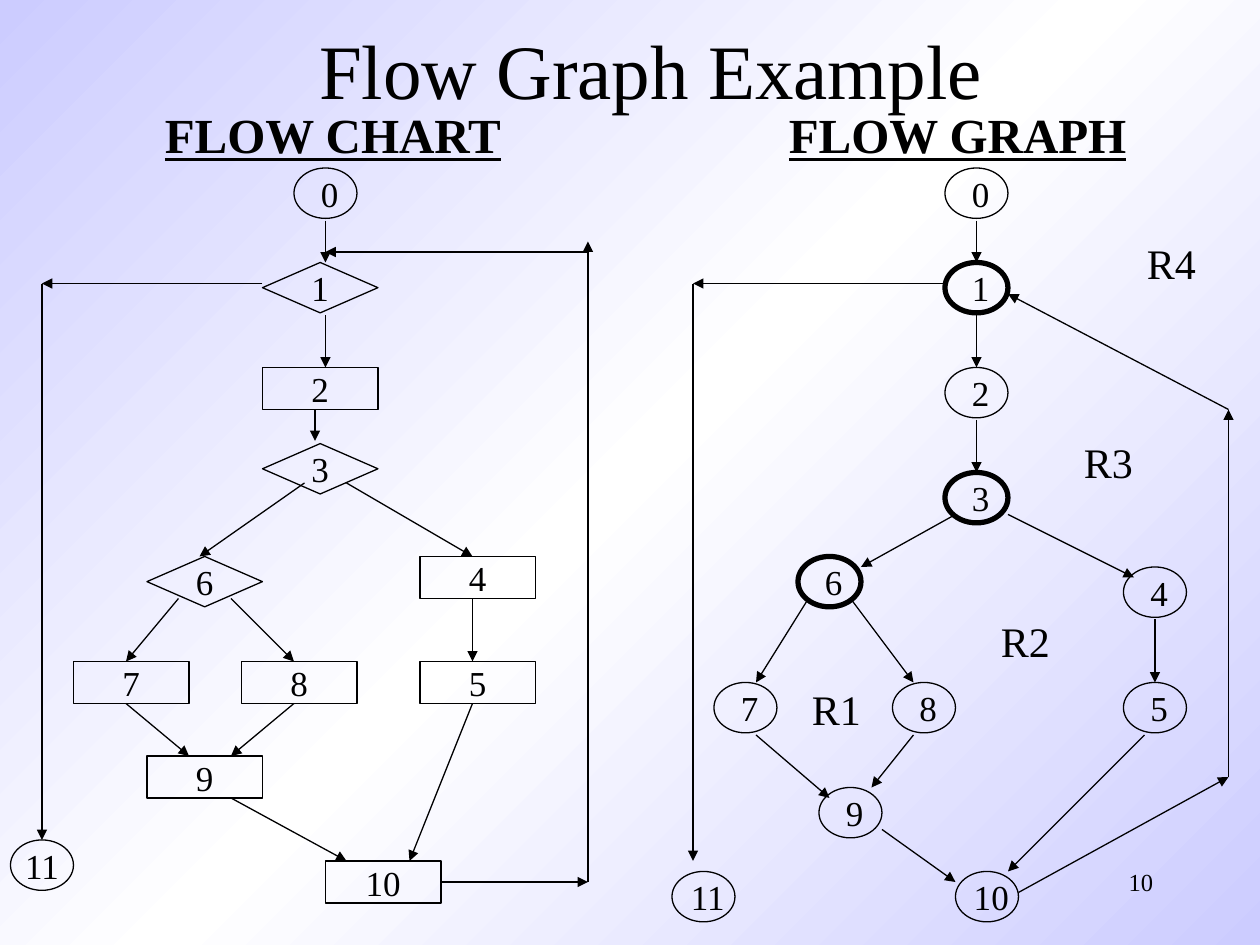
"""Build the flow chart and flow graph slide on a grid of 120 by 90 units."""
import copy

import pptx
import pptx.dml.color
import pptx.enum.shapes
import pptx.enum.text
import pptx.oxml
import pptx.oxml.ns
import pptx.util

Cm, Pt = pptx.util.Cm, pptx.util.Pt
Kind = pptx.enum.shapes.MSO_SHAPE
Mid = pptx.enum.text.MSO_ANCHOR.MIDDLE
Top = pptx.enum.text.MSO_ANCHOR.TOP
Align = pptx.enum.text.PP_ALIGN
Fit = pptx.enum.text.MSO_AUTO_SIZE
qn = pptx.oxml.ns.qn

BLACK = pptx.dml.color.RGBColor(0x00, 0x00, 0x00)
WHITE = pptx.dml.color.RGBColor(0xFF, 0xFF, 0xFF)
LILAC = pptx.dml.color.RGBColor(0xCC, 0xCC, 0xFF)
FONT = "Times New Roman"
UNIT = 2.54 / 12
THIN, THICK = 0.75, 3

SIZES = {
    "oval": (Kind.OVAL, 6, 4.8),
    "test": (Kind.FLOWCHART_DECISION, 11, 4.8),
    "step": (Kind.RECTANGLE, 11, 4),
}
CHART = [
    (" 0", "oval", 28, 16), ("1", "test", 25, 25), ("2", "step", 25, 35),
    ("3", "test", 25, 42.25), ("4", "step", 40, 53), ("5", "step", 40, 63),
    ("6", "test", 14, 53), ("7", "step", 7, 63), ("8", "step", 23, 63),
    ("9", "step", 14, 72), ("10", "step", 31, 82), ("11", "oval", 1, 80),
]
GRAPH = [
    (" 0", 90, 16), (" 1", 90, 25), (" 2", 90, 35), (" 3", 90, 45),
    (" 4", 107, 54), (" 5", 107, 65), (" 6", 76, 53), (" 7", 68, 65),
    (" 8", 85, 65), (" 9", 78, 75), (" 10", 91, 83), (" 11", 64, 83),
]
FORKS = {" 1", " 3", " 6"}
PATHS = [
    [(31, 21), (31, 25)], [(31, 30), (31, 35)], [(30, 39), (30, 42)],
    [(29, 46), (19, 53)], [(33, 46), (45, 53)], [(45, 57), (45, 63)],
    [(17, 57), (12, 63)], [(22, 57), (28, 63)], [(12, 67), (18, 72)],
    [(28, 67), (22, 72)], [(22, 76), (33, 82)], [(45, 67), (39, 82)],
    [(25, 27), (4, 27), (4, 80)],
    [(42, 84), (56, 84), (56, 23)], [(56, 24), (31, 24)],
    [(93, 21), (93, 25)], [(93, 30), (93, 35)], [(93, 40), (93, 45)],
    [(91, 49), (82, 54)], [(96, 49), (108, 55)], [(77, 57), (72, 65)],
    [(81, 57), (87, 65)], [(72, 70), (79, 76)], [(87, 70), (83, 75)],
    [(84, 79), (91, 84)], [(109, 70), (96, 83)], [(110, 59), (110, 65)],
    [(90, 27), (66, 27), (66, 82)],
    [(97, 85), (117, 74), (117, 39), (96, 28)],
]
AREAS = [("R1", 76.1, 64.5), ("R2", 94.1, 58), ("R3", 102, 41), ("R4", 108, 22)]
HEADS = [("FLOW CHART", 14.4), ("FLOW GRAPH", 73.9)]


def grid(*nums):
    return [Cm(num * UNIT) for num in nums]


def write(frame, text, size, align=Align.CENTER, bold=False, wrap=False, anchor=Mid):
    frame.word_wrap = wrap
    frame.vertical_anchor = anchor
    para = frame.paragraphs[0]
    para.alignment = align
    run = para.add_run()
    run.text = text
    font = run.font
    font.name, font.size, font.color.rgb = FONT, Pt(size), BLACK
    if bold:
        font.bold = font.underline = True


def label(slide, box, text, size, fit=False, **look):
    frame = slide.shapes.add_textbox(*grid(*box)).text_frame
    write(frame, text, size, **look)
    if fit:
        frame.auto_size = Fit.SHAPE_TO_FIT_TEXT


def node(slide, text, form, left, top, width=THIN):
    kind, wide, high = SIZES[form]
    shape = slide.shapes.add_shape(kind, *grid(left, top, wide, high))
    shape.shadow.inherit = False
    shape.fill.background()
    shape.line.color.rgb = BLACK
    shape.line.width = Pt(width)
    write(shape.text_frame, text, 20)


def arrow(slide, start, end):
    link = slide.shapes.add_connector(
        pptx.enum.shapes.MSO_CONNECTOR.STRAIGHT, *grid(*start, *end))
    link.line.color.rgb = BLACK
    link.line.width = Pt(THIN)
    props = link.element.spPr
    line = props.find(qn("a:ln"))
    line.append(pptx.oxml.parse_xml(
        '<a:tailEnd %s type="triangle"/>' % pptx.oxml.ns.nsdecls("a")))
    props.append(pptx.oxml.parse_xml(
        "<a:effectLst %s/>" % pptx.oxml.ns.nsdecls("a")))


def paint(slide):
    fill = slide.background.fill
    fill.gradient()
    fill.gradient_angle = 315
    stops = slide.element.find(".//" + qn("a:gsLst"))
    stops.insert(1, copy.deepcopy(stops[0]))
    for stop, spot, color in zip(fill.gradient_stops, (0, 0.5, 1), (LILAC, WHITE, LILAC)):
        stop.position = spot
        stop.color.rgb = color


def main():
    deck = pptx.Presentation()
    deck.slide_width, deck.slide_height = grid(120, 90)
    slide = deck.slides.add_slide(deck.slide_layouts[6])
    paint(slide)
    label(slide, (86, 82, 25, 6), "10", 14, align=Align.RIGHT, wrap=True, anchor=Top)
    label(slide, (11, 0, 102, 13), "Flow Graph Example", 44, wrap=True)
    for item in CHART:
        node(slide, *item)
    for text, left, top in GRAPH:
        node(slide, text, "oval", left, top, THICK if text in FORKS else THIN)
    for path in PATHS:
        for start, end in zip(path, path[1:]):
            arrow(slide, start, end)
    for text, left, top in AREAS:
        label(slide, (left, top, 7.1, 6), text, 24, fit=True, anchor=Top)
    for text, left in HEADS:
        label(slide, (left, 9.4, 34.6, 6.9), text, 28, fit=True, bold=True, anchor=Top)
    deck.save("out.pptx")


if __name__ == "__main__":
    main()
